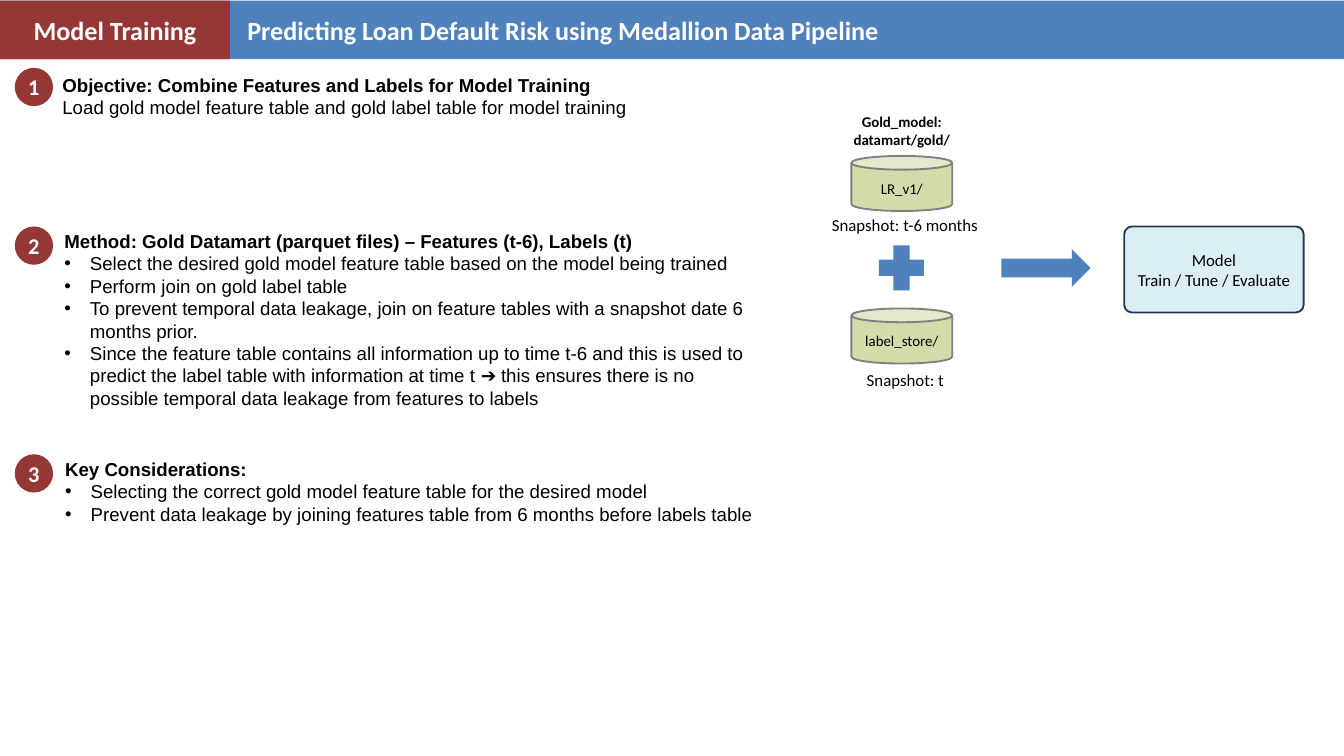
from lxml import etree
from pptx import Presentation
from pptx.dml.color import RGBColor
from pptx.enum.shapes import MSO_SHAPE as Shape
from pptx.enum.text import MSO_ANCHOR as Anchor, MSO_AUTO_SIZE as AutoSize, PP_ALIGN as Align
from pptx.oxml.ns import qn
from pptx.util import Inches, Pt

BLUE, RED, WHITE, BLACK = "4F81BD", "953735", "FFFFFF", "000000"
SECTION = "Model Training"
TITLE = "Predicting Loan Default Risk using Medallion Data Pipeline"

# badge top, text position and size, heading, plain lines, bullets
STEPS = [
    (1.01, (0.83, 1.05, 13, 0.77),
     "Objective: Combine Features and Labels for Model Training",
     ["Load gold model feature table and gold label table for model training"], []),
    (3.37, (0.86, 3.37, 10.64, 3.47),
     "Method: Gold Datamart (parquet files) – Features (t-6), Labels (t)", [],
     ["Select the desired gold model feature table based on the model being trained",
      "Perform join on gold label table",
      "To prevent temporal data leakage, join on feature tables with a snapshot date "
      "6 months prior.",
      "Since the feature table contains all information up to time t-6 and this is used to "
      "predict the label table with information at time t ➔ this ensures there is no "
      "possible temporal data leakage from features to labels"]),
    (6.76, (0.87, 6.76, 17.2, 1.11),
     "Key Considerations:", [],
     ["Selecting the correct gold model feature table for the desired model",
      "Prevent data leakage by joining features table from 6 months before labels table"]),
]

# can top, label top, label, snapshot position and size, snapshot
STORES = [
    (2.32, 2.62, "LR_v1/", (12.28, 3.15, 2.41, 0.4), "Snapshot: t-6 months"),
    (4.59, 4.88, "label_store/", (12.8, 5.46, 1.36, 0.4), "Snapshot: t"),
]
STORE_HEADING = "Gold_model: datamart/gold/"
MODEL_LINES = ["Model", "Train / Tune / Evaluate"]
CENTER_X = 13.42
CAN_WIDTH, CAN_HEIGHT = 1.5, 0.82
LABEL_WIDTH = 3


def color(value):
    return RGBColor.from_string(value)


def add_bullet(para, indent=0.38):
    properties = para._p.get_or_add_pPr()
    properties.set("marL", str(Inches(indent)))
    properties.set("indent", str(-Inches(indent)))
    etree.SubElement(properties, qn("a:buFont")).set("typeface", "Arial")
    etree.SubElement(properties, qn("a:buChar")).set("char", "•")


def write(para, text, size=16, font="Calibri", ink=BLACK, bold=False, align=Align.LEFT):
    para.alignment = align
    span = para.add_run()
    span.text = text
    span.font.size = Pt(size)
    span.font.name = font
    span.font.bold = bold
    span.font.color.rgb = color(ink)


def write_lines(frame, lines, **style):
    for index, line in enumerate(lines):
        para = frame.add_paragraph() if index else frame.paragraphs[0]
        write(para, line, **style)


def add_box(page, place, lines, wrap=True, **style):
    box = page.shapes.add_textbox(*map(Inches, place))
    box.text_frame.word_wrap = wrap
    write_lines(box.text_frame, lines, **style)
    return box


def add_figure(page, kind, place, fill, line=None, adjust=None, lines=(), **style):
    figure = page.shapes.add_shape(kind, *map(Inches, place))
    figure.shadow.inherit = False
    figure.fill.solid()
    figure.fill.fore_color.rgb = color(fill)
    if line:
        figure.line.color.rgb = color(line)
        figure.line.width = Pt(2)
    else:
        figure.line.fill.background()
    if adjust is not None:
        figure.adjustments[0] = adjust
    figure.text_frame.vertical_anchor = Anchor.MIDDLE
    write_lines(figure.text_frame, lines, align=Align.CENTER, **style)
    return figure


def add_header(page):
    top, height = 0.01, 0.87
    add_figure(page, Shape.RECTANGLE, (0, top, 20, height), BLUE)
    add_figure(page, Shape.RECTANGLE, (0, top, 3.42, height), RED,
               lines=[SECTION], size=28, ink=WHITE, bold=True)
    title = page.shapes.title
    title.left, title.top, title.width, title.height = map(Inches, (3.58, 0.16, 12.17, 0.57))
    title.text_frame.vertical_anchor = Anchor.TOP
    title.text_frame.auto_size = AutoSize.NONE
    write(title.text_frame.paragraphs[0], TITLE, size=28, ink=WHITE, bold=True)
    # The placeholder comes first on the page; bring it in front of the bar
    title.element.getparent().append(title.element)


def add_steps(page):
    for number, (top, place, heading, plain, bullets) in enumerate(STEPS, 1):
        badge = add_figure(page, Shape.OVAL, (0.22, top, 0.57, 0.57), RED,
                           lines=[str(number)], size=24, ink=WHITE, bold=True)
        badge.text_frame.margin_left = badge.text_frame.margin_right = 0
        body = {"size": 20, "font": "Arial"}
        frame = add_box(page, place, [heading], bold=True, **body).text_frame
        for text in plain + bullets:
            para = frame.add_paragraph()
            write(para, text, **body)
            if text in bullets:
                add_bullet(para)


def add_flow(page):
    add_box(page, (12.54, 1.63, 1.76, 0.64), [STORE_HEADING], bold=True, align=Align.CENTER)
    for can_top, label_top, label, place, snapshot in STORES:
        add_figure(page, Shape.CAN,
                   (CENTER_X - CAN_WIDTH / 2, can_top, CAN_WIDTH, CAN_HEIGHT),
                   "D5DAAA", line="808080")
        add_box(page, (CENTER_X - LABEL_WIDTH / 2, label_top, LABEL_WIDTH, 0.37), [label],
                align=Align.CENTER)
        add_box(page, place, [snapshot], wrap=False, size=18)
    add_figure(page, Shape.CROSS, (13.08, 3.65, 0.67, 0.67), BLUE, adjust=0.32)
    add_figure(page, Shape.RIGHT_ARROW, (14.9, 3.71, 1.33, 0.56), BLUE)
    add_figure(page, Shape.ROUNDED_RECTANGLE, (16.73, 3.37, 2.67, 1.28), "DBEEF4",
               line="233953", adjust=0.09, lines=MODEL_LINES, size=18)


def main():
    deck = Presentation()
    deck.slide_width, deck.slide_height = Inches(20), Inches(11.25)
    page = deck.slides.add_slide(deck.slide_layouts[5])
    add_header(page)
    add_steps(page)
    add_flow(page)
    deck.save("out.pptx")


if __name__ == "__main__":
    main()
